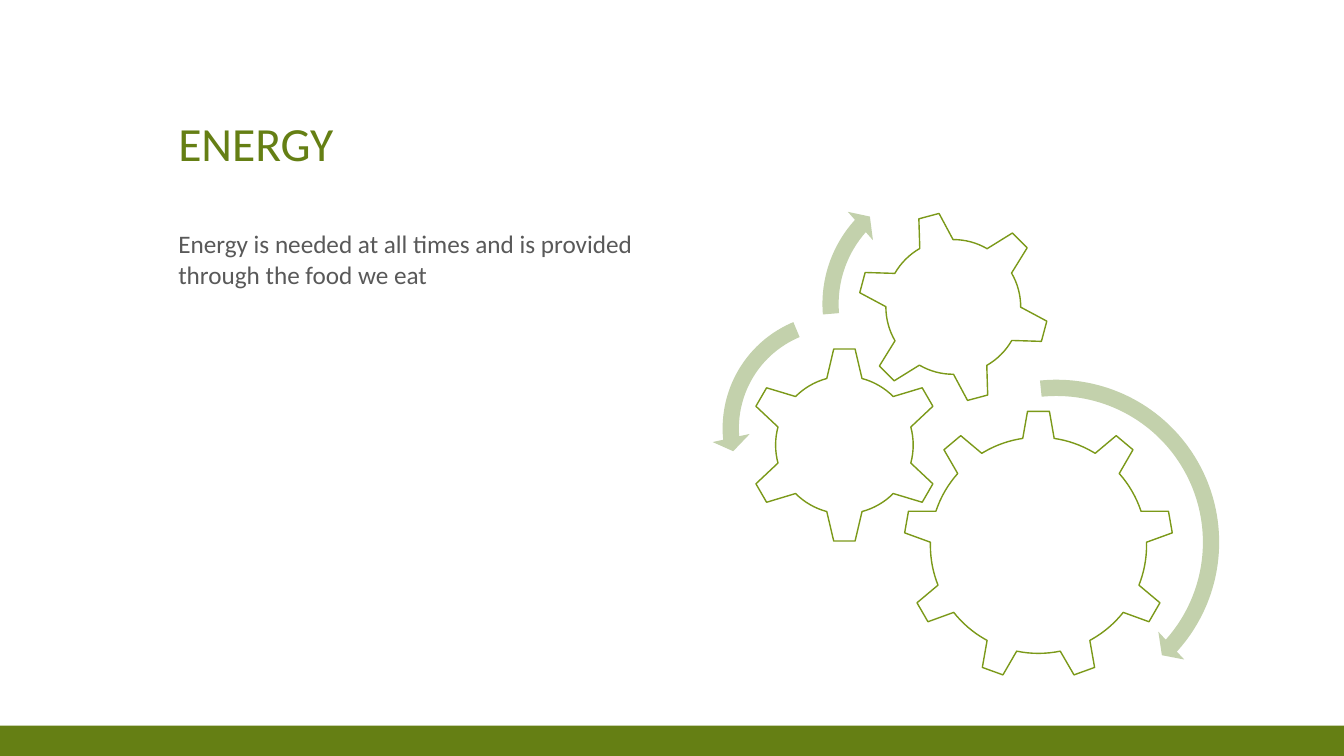
from pptx import Presentation
from pptx.dml.color import RGBColor
from pptx.enum.shapes import MSO_SHAPE
from pptx.enum.text import MSO_ANCHOR
from pptx.util import Emu, Pt

EMU_PER_PX = 9144
FONT = "Calibri"
DARK_GREEN = "657F14"
GEAR_LINE = "7B9919"
ARROW_GREEN = "C3D1AC"
GREY = "595959"
WHITE = "FFFFFF"


def px(length):
    return Emu(length * EMU_PER_PX)


def color(hex_value):
    return RGBColor.from_string(hex_value)


def add_filled_shape(slide, kind, box, fill):
    """Add a shape without line or shadow; box is left, top, width, height in px."""
    shape = slide.shapes.add_shape(kind, *map(px, box))
    shape.shadow.inherit = False
    shape.fill.solid()
    shape.fill.fore_color.rgb = color(fill)
    shape.line.fill.background()
    return shape


def add_gear(slide, kind, left, top, size, rotation=0):
    gear = add_filled_shape(slide, kind, (left, top, size, size), WHITE)
    gear.line.color.rgb = color(GEAR_LINE)
    gear.line.width = Pt(1)
    gear.rotation = rotation


def add_turning_arrow(slide, kind, left, top, size, percents, degrees):
    """percents: band and head width; degrees: head length, end and start angle."""
    arrow = add_filled_shape(slide, kind, (left, top, size, size), ARROW_GREEN)
    band, head = [percent / 100 for percent in percents]
    # Angles are stored in 1/60000 degree, adjustments in 1/100000.
    angles = [degree * 0.6 for degree in degrees]
    for index, value in enumerate([band, *angles, head]):
        arrow.adjustments[index] = value


def add_text(slide, box, text, size, font_color, anchor=MSO_ANCHOR.TOP, line_spacing=1.0):
    text_frame = slide.shapes.add_textbox(*map(px, box)).text_frame
    text_frame.word_wrap = True
    text_frame.vertical_anchor = anchor
    text_frame.text = text
    paragraph = text_frame.paragraphs[0]
    paragraph.line_spacing = line_spacing
    for run in paragraph.runs:
        run.font.name = FONT
        run.font.size = Pt(size)
        run.font.color.rgb = color(font_color)


def main():
    presentation = Presentation()
    presentation.slide_width = px(1333)
    presentation.slide_height = px(750)
    slide = presentation.slides.add_slide(presentation.slide_layouts[6])

    add_filled_shape(slide, MSO_SHAPE.RECTANGLE, (0, 720, 1333, 30), DARK_GREEN)
    add_text(slide, (167, 50, 1000, 125), "ENERGY", 34, DARK_GREEN, MSO_ANCHOR.BOTTOM, 0.9)

    add_gear(slide, MSO_SHAPE.GEAR_9, 896, 407, 268)
    add_gear(slide, MSO_SHAPE.GEAR_6, 740, 344, 195)
    add_gear(slide, MSO_SHAPE.GEAR_6, 850, 209, 191, rotation=345)

    add_turning_arrow(slide, MSO_SHAPE.CIRCULAR_ARROW, 876, 366, 344,
                      (4.69, 5.47), (4.98, 42.04, 264.14))
    add_turning_arrow(slide, MSO_SHAPE.LEFT_CIRCULAR_ARROW, 706, 300, 250,
                      (6.45, 7.53), (7.17, 174.82, 247.3))
    add_turning_arrow(slide, MSO_SHAPE.CIRCULAR_ARROW, 805, 167, 269,
                      (5.98, 6.98), (6.57, 221.9, 175.14))

    add_text(slide, (167, 222, 532, 71),
             "Energy is needed at all times and is provided through the food we eat", 18, GREY)

    presentation.save("out.pptx")


if __name__ == "__main__":
    main()
